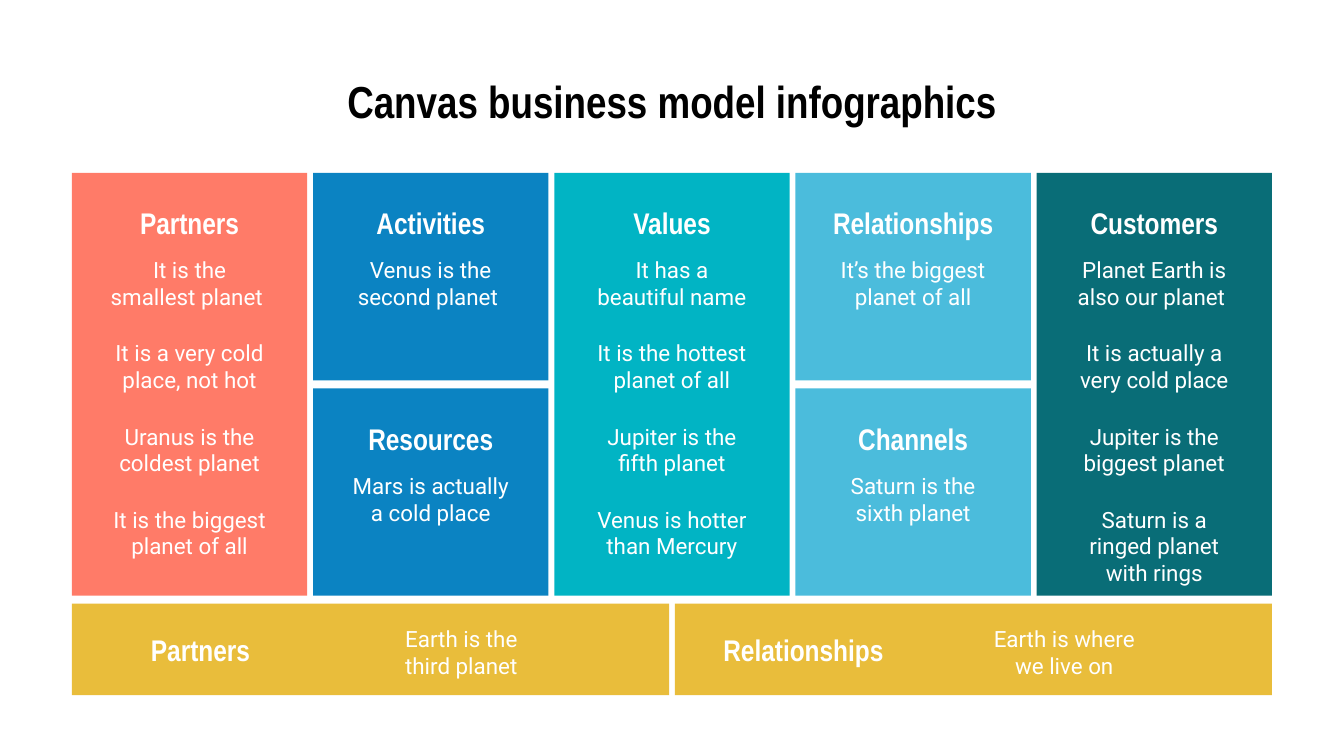
from dataclasses import dataclass

import pptx
import pptx.dml.color
import pptx.enum.shapes
import pptx.enum.text
import pptx.util
from pptx.util import Cm


@dataclass(frozen=True)
class Theme:
    coral: str = "FF7B68"
    blue: str = "0B83C2"
    teal: str = "01B4C4"
    sky: str = "4BBCDC"
    petrol: str = "096D77"
    gold: str = "E9BD3B"
    white: str = "FFFFFF"
    black: str = "000000"
    head_font: str = "Arial Narrow"
    body_font: str = "Roboto"
    title_size: int = 24
    head_size: int = 16
    body_size: int = 12


T = Theme()

# Canvas grid, in cm
LEFT, TOP, WIDTH = 1.36, 3.27, 22.68
COL_GAP, ROW_GAP = 0.11, 0.15
COL_H, BAR_H = 7.99, 1.73
TEXT_W, HEAD_H, BODY_H = 3.58, 0.97, 1.4
INSET = 0.25

# Each column: colour and its stacked cards (heading, notes)
COLUMNS = [
    (T.coral, [("Partners", ["It is the smallest planet ", "It is a very cold place, not hot",
                             "Uranus is the coldest planet", "It is the biggest planet of all"])]),
    (T.blue, [("Activities", ["Venus is the second planet "]),
              ("Resources", ["Mars is actually a cold place"])]),
    (T.teal, [("Values", ["It has a beautiful name", "It is the hottest planet of all",
                          "Jupiter is the fifth planet", "Venus is hotter than Mercury"])]),
    (T.sky, [("Relationships", ["It’s the biggest planet of all"]),
             ("Channels", ["Saturn is the sixth planet"])]),
    (T.petrol, [("Customers", ["Planet Earth is also our planet ", "It is actually a very cold place",
                               "Jupiter is the biggest planet", "Saturn is a ringed planet with rings"])]),
]
BARS = [("Partners", "Earth is the third planet"),
        ("Relationships", "Earth is where we live on")]


def add_text(s, text, x, y, w, h, *, size=T.body_size, font=T.body_font,
             color=T.white, bold=False, middle=False):
    tf = s.shapes.add_textbox(Cm(x), Cm(y), Cm(w), Cm(h)).text_frame
    tf.word_wrap = True
    tf.margin_left = tf.margin_right = tf.margin_top = tf.margin_bottom = Cm(INSET)
    anchor = pptx.enum.text.MSO_ANCHOR
    tf.vertical_anchor = anchor.MIDDLE if middle else anchor.TOP
    p = tf.paragraphs[0]
    p.alignment = pptx.enum.text.PP_ALIGN.CENTER
    r = p.add_run()
    r.text = text
    r.font.size = pptx.util.Pt(size)
    r.font.name = font
    r.font.bold = bold
    r.font.color.rgb = pptx.dml.color.RGBColor.from_string(color)


def add_heading(s, text, x, y):
    add_text(s, text, x, y, TEXT_W, HEAD_H, size=T.head_size,
             font=T.head_font, bold=True, middle=True)


def add_panel(s, x, y, w, h, color):
    sp = s.shapes.add_shape(pptx.enum.shapes.MSO_SHAPE.RECTANGLE, Cm(x), Cm(y), Cm(w), Cm(h))
    sp.shadow.inherit = False
    sp.fill.solid()
    sp.fill.fore_color.rgb = pptx.dml.color.RGBColor.from_string(color)
    sp.line.fill.background()


def add_card(s, x, y, w, h, color, heading, notes):
    add_panel(s, x, y, w, h, color)
    text_x = x + (w - TEXT_W) / 2
    add_heading(s, heading, text_x, y + 0.46)
    for i, note in enumerate(notes):
        add_text(s, note, text_x, y + 1.33 + 1.57 * i, TEXT_W, BODY_H)


def add_column(s, x, y, w, h, color, cards):
    card_h = (h - ROW_GAP * (len(cards) - 1)) / len(cards)
    for i, (heading, notes) in enumerate(cards):
        add_card(s, x, y + i * (card_h + ROW_GAP), w, card_h, color, heading, notes)


def add_bar(s, x, y, w, h, heading, note):
    add_panel(s, x, y, w, h, T.gold)
    add_heading(s, heading, x + 0.64, y + (h - HEAD_H) / 2)
    add_text(s, note, x + 5.57, y + (h - BODY_H) / 2, TEXT_W, BODY_H)


def split(count):
    """Return the left edges and the shared width of equal parts of the canvas."""
    w = (WIDTH - COL_GAP * (count - 1)) / count
    return [LEFT + i * (w + COL_GAP) for i in range(count)], w


def main():
    prs = pptx.Presentation()
    prs.slide_width, prs.slide_height = Cm(25.4), Cm(14.29)
    s = prs.slides.add_slide(prs.slide_layouts[6])

    # Title
    add_text(s, "Canvas business model infographics", 1.27, 1.14, 22.86, 1.6,
             size=T.title_size, font=T.head_font, color=T.black, bold=True)

    # Five columns
    edges, w = split(len(COLUMNS))
    for x, (color, cards) in zip(edges, COLUMNS):
        add_column(s, x, TOP, w, COL_H, color, cards)

    # Bottom bars
    edges, w = split(len(BARS))
    for x, (heading, note) in zip(edges, BARS):
        add_bar(s, x, TOP + COL_H + ROW_GAP, w, BAR_H, heading, note)

    prs.save("out.pptx")


if __name__ == "__main__":
    main()
